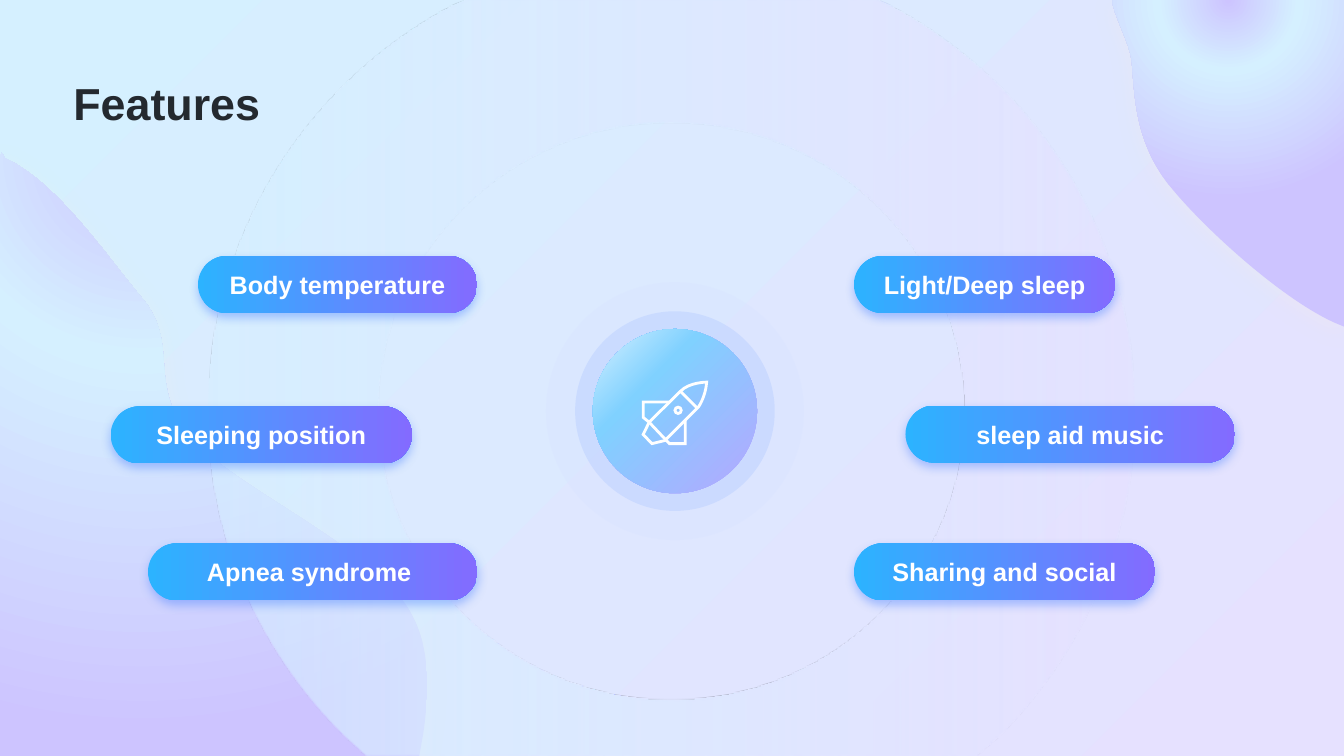
from math import cos, radians, sin

from lxml.etree import SubElement
from pptx import Presentation
from pptx.dml.color import RGBColor
from pptx.enum.shapes import MSO_SHAPE
from pptx.enum.text import MSO_ANCHOR, PP_ALIGN
from pptx.oxml.ns import qn
from pptx.util import Cm, Pt

SLIDE_W, SLIDE_H = 33.87, 19.05
PILL_H = 1.44
BADGE_X, BADGE_Y = 17.01, 10.36
BLOB_STOPS = [(0, "CDC4FF", 100), (35, "D5F0FF", 100), (100, "CDC4FF", 100)]
BLOB_FOCUS = (50, -80, 50, 180)
BLOB_SHADOW = ("FFF1D5", 20, 15, 4)
PILL_STOPS = [(0, "2CB3FF", 100), (100, "836BFF", 100)]
PILL_SHADOW = ("3F7AFF", 40, 7, 3)

# Outlines in cm: a start point, then lines (2 numbers) and curves (6 numbers)
RIGHT_BLOB = [
    (28.04, 0), (SLIDE_W, 0), (SLIDE_W, 8.23), (33.63, 8.13),
    (32.28, 7.52, 30.33, 5.74, 29.49, 4.7),
    (28.6, 3.58, 28.6, 2.46, 28.52, 1.55),
    (28.47, 1.09, 28.14, 0.53, 28.04, 0.1),
]
LEFT_BLOB = [
    (0.05, 3.86), (0.13, 3.99),
    (1.47, 4.6, 2.82, 6.63, 3.56, 7.49),
    (4.57, 8.66, 3.68, 9.68, 4.8, 11.02),
    (5.94, 12.34, 9.53, 13.82, 10.39, 15.52),
    (10.85, 16.36, 10.82, 17.45, 10.67, 18.49),
    (10.57, SLIDE_H), (7.11, 24), (-7.09, 14.1),
]
LEFT_BLOB_TURN, LEFT_BLOB_CENTER = 214.9, (3.58, 13.93)
RING_EDGE = [
    (11.79, 0), (22.1, 0), (22.5, 0.2),
    (26.14, 2.16, 28.6, 5.97, 28.6, 10.37),
    (28.6, 13.56, 27.3, 16.43, 25.2, 18.54),
    (24.61, SLIDE_H), (9.25, SLIDE_H), (8.69, 18.54),
    (6.55, 16.43, 5.26, 13.56, 5.26, 10.37),
    (5.26, 5.97, 7.72, 2.16, 11.35, 0.2),
]
ROCKET_BODY = [
    (17.81, 9.63), (17.78, 10.01, 17.6, 10.26, 17.6, 10.26),
    (16.76, 11.1), (16.43, 11.18), (16.21, 10.95), (16.36, 10.64),
    (17.15, 9.86), (17.37, 9.63, 17.81, 9.63, 17.81, 9.63),
]
ROCKET_LINES = [
    [(17.15, 9.86), (17.58, 10.29)],
    [(16.87, 10.13), (16.21, 10.13), (16.21, 10.52), (16.36, 10.64)],
    [(16.36, 10.64), (16.87, 11.18), (17.27, 11.18), (17.27, 10.59)],
]
# Label, left, top, width
PILLS = [
    ("Body temperature", 4.99, 6.45, 7.03),
    ("Sleeping position", 2.79, 10.24, 7.59),
    ("Apnea syndrome ", 3.73, 13.69, 8.3),
    ("sleep aid music", 22.82, 10.22, 8.3),
    ("Sharing and social", 21.52, 13.69, 7.59),
    ("Light/Deep sleep", 21.52, 6.45, 6.59),
]


def color(hex_code):
    return RGBColor.from_string(hex_code)


def add_xml_color(parent, hex_code, alpha):
    clr = SubElement(parent, qn("a:srgbClr"), val=str(color(hex_code)))
    if alpha < 100:
        SubElement(clr, qn("a:alpha"), val=str(alpha * 1000))


def set_gradient(fill, parent, stops, angle=0, focus=None):
    """Linear gradient at an angle, or a circular one around focus."""
    fill.gradient()
    grad = parent.find(qn("a:gradFill"))
    for child in list(grad):
        grad.remove(child)
    gs_list = SubElement(grad, qn("a:gsLst"))
    for pos, hex_code, alpha in stops:
        gs = SubElement(gs_list, qn("a:gs"), pos=str(pos * 1000))
        add_xml_color(gs, hex_code, alpha)
    if focus:
        path = SubElement(grad, qn("a:path"), {"path": "circle"})
        sides = {side: str(v * 1000) for side, v in zip("ltrb", focus)}
        SubElement(path, qn("a:fillToRect"), sides)
    else:
        SubElement(grad, qn("a:lin"), ang=str(angle * 60000), scaled="0")


def clean(sp):
    sp.shadow.inherit = False
    sp.line.fill.background()
    return sp


def set_shadow(sp, hex_code, alpha, blur, dist):
    effects = sp._element.spPr.find(qn("a:effectLst"))
    shadow = SubElement(effects, qn("a:outerShdw"), blurRad=str(Pt(blur)),
                        dist=str(Pt(dist)), dir="5400000", algn="t", rotWithShape="0")
    add_xml_color(shadow, hex_code, alpha)


def pairs(seg):
    return list(zip(seg[::2], seg[1::2]))


def turn(outline, degrees, center):
    """Rotate every point of an outline around a center."""
    (cx, cy), c, s = center, cos(radians(degrees)), sin(radians(degrees))
    return [sum(((cx + (x - cx) * c - (y - cy) * s, cy + (x - cx) * s + (y - cy) * c)
                 for x, y in pairs(seg)), ()) for seg in outline]


def circle(cx, cy, rx, ry):
    """Ellipse outline of four curves."""
    start, outline = (1, 0), [(cx + rx, cy)]
    for _ in range(4):
        (x, y), (u, v) = start, (-start[1], start[0])
        k = 0.55
        curve = [(x + k * u, y + k * v), (u + k * x, v + k * y), (u, v)]
        outline.append(sum(((cx + rx * a, cy + ry * b) for a, b in curve), ()))
        start = (u, v)
    return outline


def add_outline(shapes, closed, opened=()):
    contours = [(c, True) for c in closed] + [(c, False) for c in opened]
    builder = None
    for contour, close in contours:
        ends = [(Cm(seg[-2]), Cm(seg[-1])) for seg in contour]
        if builder is None:
            builder = shapes.build_freeform(*ends[0], scale=1.0)
        else:
            builder.move_to(*ends[0])
        builder.add_line_segments(ends[1:], close=close)
    sp = clean(builder.convert_to_shape())

    # Bend the segments that have control points
    steps = list(sp._element.iter(qn("a:moveTo"), qn("a:lnTo")))
    for step, seg in zip(steps, [seg for c, _ in contours for seg in c]):
        if len(seg) == 6:
            step.addnext(curve := SubElement(step.getparent(), qn("a:cubicBezTo")))
            for x, y in pairs(seg):
                SubElement(curve, qn("a:pt"), x=str(Cm(x) - sp.left), y=str(Cm(y) - sp.top))
            step.getparent().remove(step)
    return sp


def add_blob(shapes, outline):
    sp = add_outline(shapes, [outline])
    set_gradient(sp.fill, sp._element.spPr, BLOB_STOPS, focus=BLOB_FOCUS)
    set_shadow(sp, *BLOB_SHADOW)
    return sp


def add_run(p, text, size, hex_code):
    r = p.add_run()
    r.text = text
    r.font.name, r.font.size, r.font.bold = "Arial", Pt(size), True
    r.font.color.rgb = color(hex_code)


def add_title(shapes, text):
    tf = shapes.add_textbox(Cm(1.6), Cm(1.78), Cm(30.18), Cm(3)).text_frame
    tf.word_wrap = True
    add_run(tf.paragraphs[0], text, 32, "24292F")


def add_pill(shapes, text, x, y, w):
    sp = clean(shapes.add_shape(MSO_SHAPE.ROUNDED_RECTANGLE, Cm(x), Cm(y), Cm(w), Cm(PILL_H)))
    sp.adjustments[0] = 0.5
    set_gradient(sp.fill, sp._element.spPr, PILL_STOPS)
    set_shadow(sp, *PILL_SHADOW)
    sp.text_frame.vertical_anchor = MSO_ANCHOR.MIDDLE
    p = sp.text_frame.paragraphs[0]
    p.alignment = PP_ALIGN.CENTER
    add_run(p, text, 18, "FFFFFF")


def add_disc(shapes, size):
    return clean(shapes.add_shape(MSO_SHAPE.OVAL, Cm(BADGE_X - size / 2),
                                  Cm(BADGE_Y - size / 2), Cm(size), Cm(size)))


def add_badge(shapes):
    for size, hex_code in [(6.5, "D9E4FF"), (5.03, "B2CAFF")]:
        halo = add_disc(shapes, size)
        halo.fill.solid()
        halo.fill.fore_color.rgb = color(hex_code)
        clr = halo._element.spPr.find(".//" + qn("a:srgbClr"))
        SubElement(clr, qn("a:alpha"), val="40000")
    disc = add_disc(shapes, 4.14)
    set_gradient(disc.fill, disc._element.spPr, focus=(0, 0, 100, 100),
                 stops=[(0, "D5F0FF", 100), (33, "80D1FF", 100), (100, "B5A6FF", 100)])
    porthole = circle(17.09, 10.34, 0.08, 0.08)
    rocket = add_outline(shapes, [ROCKET_BODY, porthole], ROCKET_LINES)
    rocket.fill.background()
    rocket.line.color.rgb = color("FFFFFF")
    rocket.line.width = Pt(2)
    SubElement(rocket._element.spPr.find(qn("a:ln")), qn("a:miter"), lim="800000")


def main():
    prs = Presentation()
    prs.slide_width, prs.slide_height = Cm(SLIDE_W), Cm(SLIDE_H)
    s = prs.slides.add_slide(prs.slide_layouts[6])

    # Background and blobs
    fill = s.background.fill
    fill.solid()
    set_gradient(fill, s._element.find(".//" + qn("p:bgPr")),
                 [(0, "D5F0FF", 100), (100, "E6E1FF", 100)], angle=45)
    add_blob(s.shapes, RIGHT_BLOB)
    left = add_blob(s.shapes, turn(LEFT_BLOB, -LEFT_BLOB_TURN, LEFT_BLOB_CENTER))
    left.rotation = LEFT_BLOB_TURN

    # Large translucent ring
    ring = add_outline(s.shapes, [circle(16.93, 10.37, 7.4, 7.28), RING_EDGE])
    set_gradient(ring.fill, ring._element.spPr,
                 [(0, "D5F0FF", 50), (55, "DEE8FF", 100), (100, "E6E1FF", 50)])

    # Title, feature pills and rocket badge
    add_title(s.shapes, "Features")
    for pill in PILLS:
        add_pill(s.shapes, *pill)
    add_badge(s.shapes.add_group_shape().shapes)

    prs.save("out.pptx")


if __name__ == "__main__":
    main()
